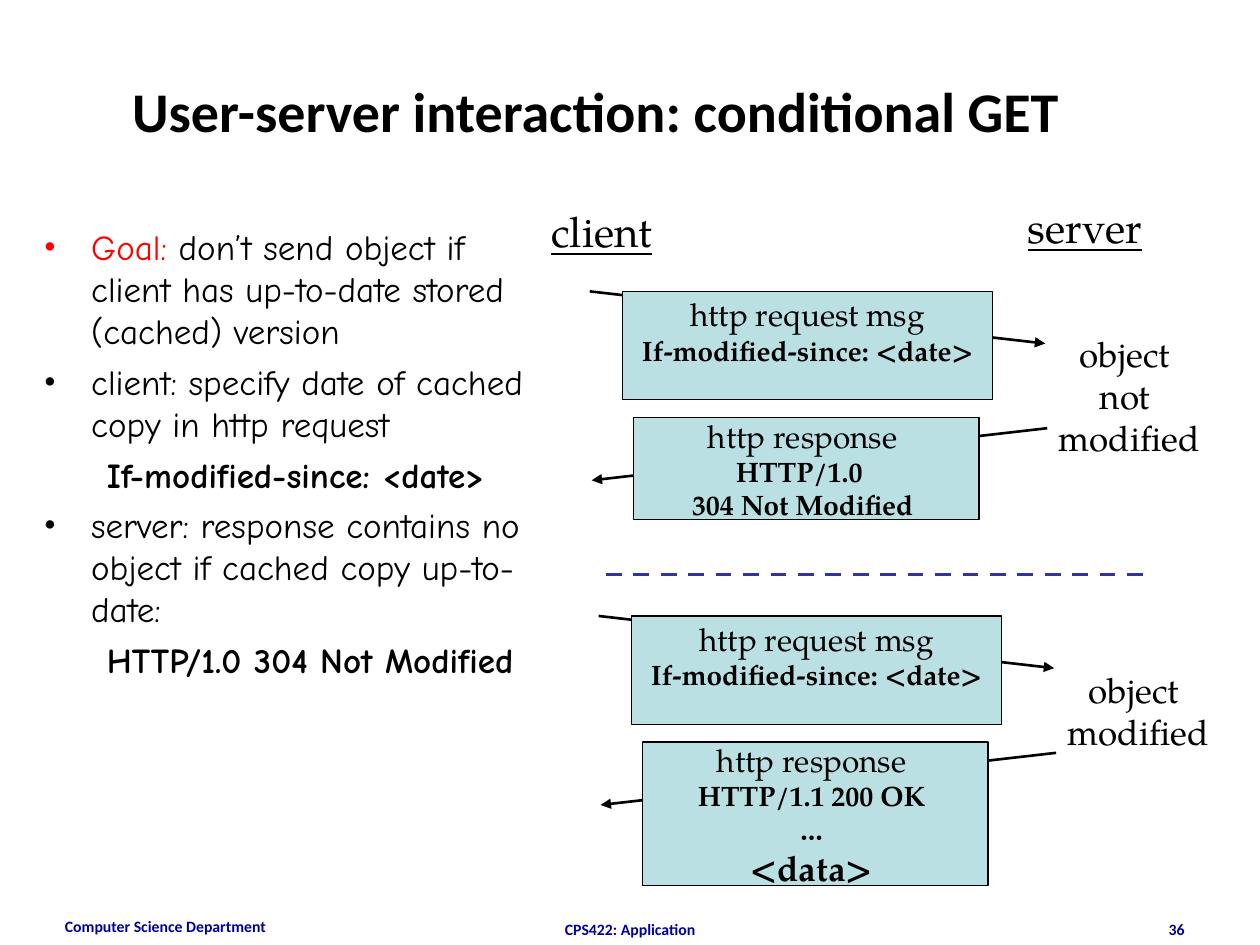
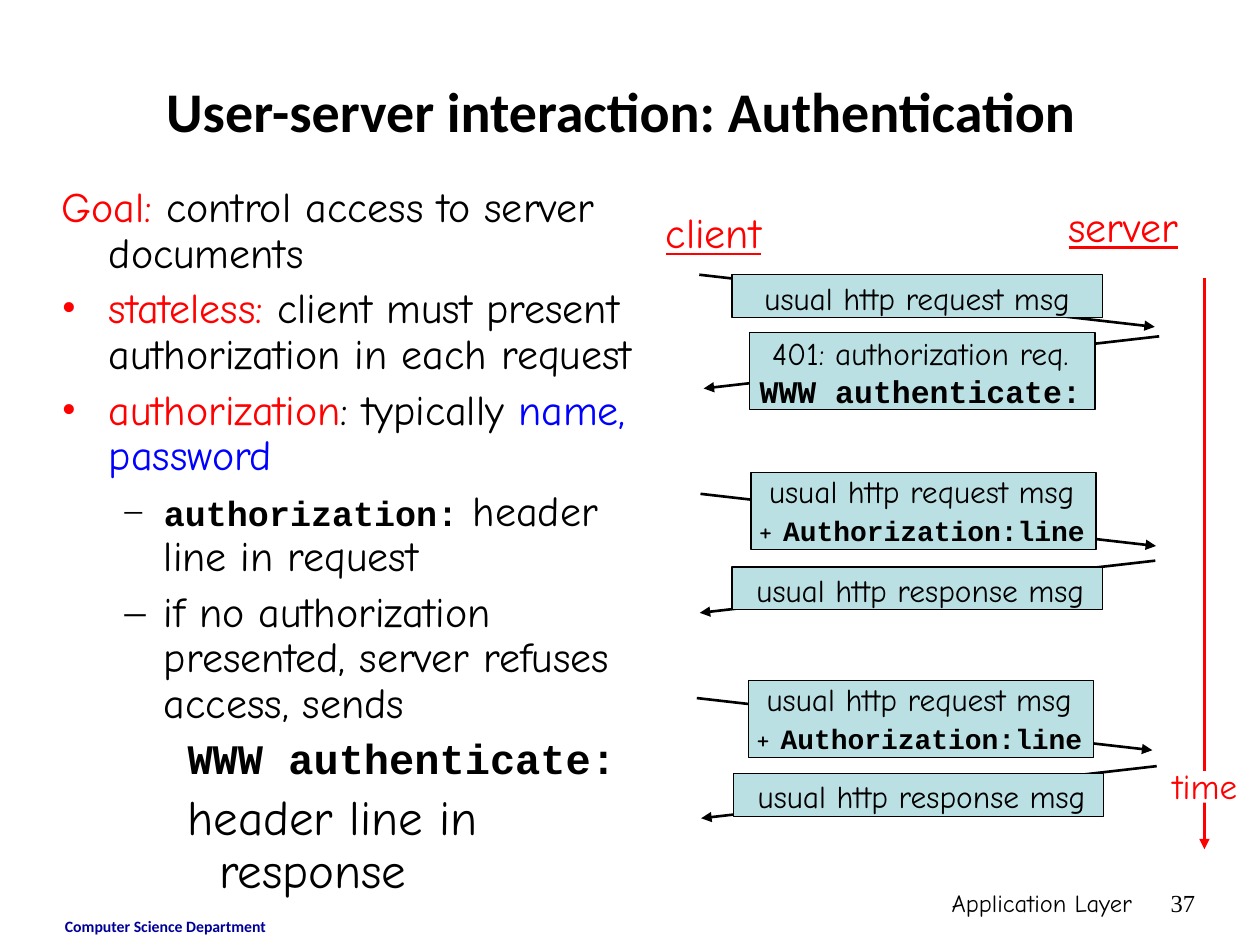
from dataclasses import dataclass

from lxml import etree
from pptx import Presentation
from pptx.dml.color import RGBColor
from pptx.enum.dml import MSO_LINE
from pptx.enum.shapes import MSO_CONNECTOR, MSO_SHAPE
from pptx.enum.text import MSO_ANCHOR, MSO_AUTO_SIZE, PP_ALIGN
from pptx.oxml.ns import qn
from pptx.util import Pt

LEFT, CENTER, RIGHT = PP_ALIGN.LEFT, PP_ALIGN.CENTER, PP_ALIGN.RIGHT
MIDDLE, TOP = MSO_ANCHOR.MIDDLE, MSO_ANCHOR.TOP
GROW, FIXED = MSO_AUTO_SIZE.SHAPE_TO_FIT_TEXT, MSO_AUTO_SIZE.NONE
STRAIGHT, RECTANGLE, DASH = MSO_CONNECTOR.STRAIGHT, MSO_SHAPE.RECTANGLE, MSO_LINE.DASH


@dataclass(frozen=True)
class Theme:
    black: str = "000000"
    white: str = "FFFFFF"
    red: str = "FF0000"
    blue: str = "0000FF"
    footer_blue: str = "000099"
    divider_blue: str = "333399"
    message_fill: str = "BBE0E3"
    sans: str = "Calibri"
    hand: str = "Comic Neue"
    serif: str = "TeX Gyre Pagella"
    mono: str = "Courier New"
    times: str = "Times New Roman"
    title_size: int = 32
    large: int = 28
    heading: int = 24
    body: int = 20
    message: int = 18
    code: int = 16
    page: int = 14
    footer: int = 9
    hairline: float = 0.75
    arrow: float = 1.5
    divider: float = 2.25


THEME = Theme()


def style(name, size, color=THEME.black, **extra):
    return {"name": name, "size": Pt(size), "color": color, **extra}


TITLE = style(THEME.sans, THEME.title_size, bold=True)
FOOTER = style(THEME.sans, THEME.footer, THEME.footer_blue, bold=True)
HAND_BODY = style(THEME.hand, THEME.body)
HAND_BODY_BOLD = HAND_BODY | {"bold": True}
HAND_HEADING = style(THEME.hand, THEME.heading)
HAND_MESSAGE = style(THEME.hand, THEME.message)
SERIF_HEADING = style(THEME.serif, THEME.heading, underline=True)
SERIF_BODY = style(THEME.serif, THEME.body)
SERIF_MESSAGE = style(THEME.serif, THEME.message)
SERIF_CODE = style(THEME.serif, THEME.code, bold=True)
MONO_HEADING = style(THEME.mono, THEME.heading, bold=True)
MONO_BODY = style(THEME.mono, THEME.body, bold=True)
MONO_MESSAGE = style(THEME.mono, THEME.message, bold=True)
MONO_CODE = style(THEME.mono, THEME.code, bold=True)
RED = {"color": THEME.red}
BLUE = {"color": THEME.blue}

# Left margin and hanging indent of each outline level
INDENTS = ((27, -27), (58.5, -22.5), (90, -18))

# Message boxes: width of the box, then left, top and width of its label relative to the box
WIDE = (211.7, (0.3, -1.2, 211))
WIDE_REPLY = (211.7, (-1.4, -1.4, 218))
NARROW = (197.3, (-7.5, -4, 208))
NARROW_REFUSAL = (197.3, (-6.5, -2.8, 208))
NARROW_REQUEST = (197.3, (-7.9, -3.6, 211))
ARROW_RUN, ARROW_DROP = 260.3, 29.8


def rgb(color):
    return RGBColor.from_string(color)


def points(*values):
    return [Pt(value) for value in values]


def add_runs(paragraph, runs):
    for text, formats in runs:
        run = paragraph.add_run()
        run.text = text
        for key, value in formats.items():
            if key == "color":
                run.font.color.rgb = rgb(value)
            else:
                setattr(run.font, key, value)


def add_text(slide, box, paragraphs, align=LEFT, anchor=TOP, wrap=True, size=FIXED):
    """Add a text box; each paragraph is a list of (text, style) runs."""
    frame = slide.shapes.add_textbox(*points(*box)).text_frame
    formats = {"word_wrap": wrap, "auto_size": size, "vertical_anchor": anchor}
    for key, value in formats.items():
        setattr(frame, key, value)
    for index, runs in enumerate(paragraphs):
        paragraph = frame.add_paragraph() if index else frame.paragraphs[0]
        paragraph.alignment = align
        add_runs(paragraph, runs)
    return frame


def set_outline(paragraph, level, bullet, color):
    paragraph.level = level
    properties = paragraph._p.get_or_add_pPr()
    margin, indent = INDENTS[level]
    properties.set("marL", str(int(Pt(margin))))
    properties.set("indent", str(int(Pt(indent))))
    if bullet:
        bullet_color = etree.SubElement(properties, qn("a:buClr"))
        etree.SubElement(bullet_color, qn("a:srgbClr"), val=color)
        etree.SubElement(properties, qn("a:buFont"), typeface=THEME.times)
        etree.SubElement(properties, qn("a:buChar"), char=bullet)


def add_outline(slide, box, items, space, line_spacing=None):
    """Items are (level, bullet, runs); the bullet takes the colour of the first run."""
    frame = add_text(slide, box, [runs for _, _, runs in items])
    for index, (level, bullet, runs) in enumerate(items):
        paragraph = frame.paragraphs[index]
        set_outline(paragraph, level, bullet, runs[0][1]["color"])
        if index:
            paragraph.space_before = Pt(space)
        if line_spacing:
            paragraph.line_spacing = line_spacing


def add_rectangle(slide, box, fill, outline=None):
    shape = slide.shapes.add_shape(RECTANGLE, *points(*box))
    shape.shadow.inherit = False
    shape.fill.solid()
    shape.fill.fore_color.rgb = rgb(fill)
    if outline:
        shape.line.color.rgb = rgb(outline)
        shape.line.width = Pt(THEME.hairline)
    else:
        shape.line.fill.background()


def add_line(slide, start, end, color=THEME.black, width=THEME.arrow, dash=None, arrow=True):
    connector = slide.shapes.add_connector(STRAIGHT, *points(*start, *end))
    connector.line.color.rgb = rgb(color)
    connector.line.width = Pt(width)
    if dash:
        connector.line.dash_style = dash
    if arrow:
        etree.SubElement(connector.line._get_or_add_ln(), qn("a:tailEnd"), type="triangle")
    etree.SubElement(connector._element.spPr, qn("a:effectLst"))


def add_message(slide, corner, kind, height, arrow_start, direction, lines):
    """Draw an arrow (direction 1 to the server, -1 to the client) under a labelled box."""
    left, top = corner
    width, (label_left, label_top, label_width) = kind
    x, y = arrow_start
    add_line(slide, arrow_start, (x + direction * ARROW_RUN, y + ARROW_DROP))
    add_rectangle(slide, (left, top, width, height), THEME.message_fill, THEME.black)
    label = (left + label_left, top + label_top, label_width, height + 6)
    add_text(slide, label, lines, CENTER, size=GROW)


def add_caption(slide, box, lines, formats):
    add_text(slide, box, [[(line, formats)] for line in lines], CENTER, wrap=False, size=GROW)


def add_frame(presentation, title, title_box):
    """Add a blank slide with its title and the department footer."""
    slide = presentation.slides.add_slide(presentation.slide_layouts[6])
    add_text(slide, (30, 520.5, 168, 19.5), [[("Computer Science Department", FOOTER)]])
    add_text(slide, title_box, [[(title, TITLE)]], CENTER, MIDDLE)
    return slide


def add_exchange(slide, left, top, response, response_height, outcome, outcome_top):
    """Draw a conditional request, its response and the state of the object."""
    request = [[("http request msg", SERIF_MESSAGE)],
               [("If-modified-since: <date>", SERIF_CODE)]]
    add_message(slide, (left + 18.7, top), WIDE, 61.9, (left, top), 1, request)
    add_message(slide, (left + 25.2, top + 72), NARROW, response_height,
                (left + 261.4, top + 78.2), -1,
                [[("http response", SERIF_MESSAGE)], *response])
    add_caption(slide, (left + 258.4, top + outcome_top, 100, 26 * len(outcome)),
                outcome, SERIF_BODY)


def build_conditional_get(presentation):
    slide = add_frame(presentation, "User-server interaction: conditional GET",
                      (27, 18, 627, 90))
    add_text(slide, (246, 522, 228, 7.2), [[("CPS422: Application", FOOTER)]], CENTER)
    add_text(slide, (516, 522, 168, 7.2), [[("36", FOOTER)]], RIGHT)
    add_outline(slide, (18, 125.3, 306, 339), [
        (0, "•", [("Goal:", HAND_BODY | RED),
                  (" don’t send object if client has up-to-date stored (cached) version",
                   HAND_BODY)]),
        (0, "•", [("client: specify date of cached copy in http request", HAND_BODY)]),
        (1, None, [("If-modified-since: <date>", HAND_BODY_BOLD)]),
        (0, "•", [("server: response contains no object if cached copy up-to-date:",
                   HAND_BODY)]),
        (1, None, [("HTTP/1.0 304 Not Modified", HAND_BODY_BOLD)]),
    ], space=5)
    add_caption(slide, (303.9, 113.8, 80, 36), ["client"], SERIF_HEADING)
    add_caption(slide, (574.8, 111.6, 90, 36), ["server"], SERIF_HEADING)
    add_exchange(slide, 337, 166.5,
                 [[("HTTP/1.0 ", SERIF_CODE)], [("304 Not Modified", SERIF_CODE)]], 58.3,
                 ["object ", "not ", "modified"], 20.2)
    add_line(slide, (346.3, 328.3), (653.8, 328.3), THEME.divider_blue, THEME.divider,
             DASH, arrow=False)
    add_exchange(slide, 342.1, 352,
                 [[("HTTP/1.1 200 OK", SERIF_CODE)], [("…", SERIF_CODE)],
                  [("<data>", SERIF_BODY | {"bold": True})]], 82.1,
                 ["object ", "modified"], 26.7)


def add_timeline(slide, x, top, bottom):
    add_line(slide, (x, top), (x, bottom), THEME.red)
    label_top = bottom - 44.6
    add_rectangle(slide, (x - 20.9, label_top, 44.6, 18), THEME.white)
    add_caption(slide, (x - 28.7, label_top - 7.2, 58, 31.7), ["time"], HAND_BODY | RED)


def build_authentication(presentation):
    slide = add_frame(presentation, "User-server interaction: Authentication",
                      (41.8, 18, 626.4, 90))
    page = style(THEME.hand, THEME.page)
    add_text(slide, (426, 504, 228, 36), [[("Application Layer", page)]], RIGHT)
    add_text(slide, (654, 504, 36, 36), [[("37", page | {"name": THEME.times})]], RIGHT)
    add_outline(slide, (28.1, 103, 355.7, 422.6), [
        (0, None, [("Goal:", HAND_HEADING | RED),
                   (" control access to server documents", HAND_HEADING)]),
        (0, "•", [("stateless:", HAND_HEADING | RED),
                  (" client must present authorization in each request", HAND_HEADING)]),
        (0, "•", [("authorization", HAND_HEADING | RED), (": typically ", HAND_HEADING),
                  ("name, password", HAND_HEADING | BLUE)]),
        (1, "–", [("authorization:", MONO_BODY), (" header line in request", HAND_HEADING)]),
        (1, "–", [("if no authorization presented, server refuses access, sends",
                   HAND_HEADING)]),
        (2, None, [("WWW authenticate:", MONO_HEADING)]),
        (2, None, [("header line in response", style(THEME.hand, THEME.large))]),
    ], space=6, line_spacing=0.9)
    heading = HAND_HEADING | RED | {"underline": True}
    add_caption(slide, (362.7, 114.5, 90, 36), ["client"], heading)
    add_caption(slide, (596.9, 110.9, 90, 36), ["server"], heading)

    request = [("usual http request msg", HAND_MESSAGE)]
    refusal = [[("401: authorization req.", HAND_MESSAGE)],
               [("WWW authenticate:", MONO_MESSAGE)]]
    authorized = [request, [("+ ", HAND_MESSAGE), ("Authorization:line", MONO_CODE)]]
    response = [[("usual http response msg", HAND_MESSAGE)]]
    one_line, two_lines = 24.5, 43.9
    messages = [
        ((418.3, 157), WIDE, one_line, (399.6, 157), 1, [request]),
        ((428.4, 190), NARROW_REFUSAL, two_lines, (662.4, 192.2), -1, refusal),
        ((429.1, 270), NARROW_REQUEST, two_lines, (400.3, 282.2), 1, authorized),
        ((418.3, 324), WIDE_REPLY, one_line, (660.2, 320.4), -1, response),
        ((427.7, 388.8), NARROW_REQUEST, two_lines, (398.2, 398.9), 1, authorized),
        ((419, 442.1), WIDE_REPLY, one_line, (661, 437.8), -1, response),
    ]
    for message in messages:
        add_message(slide, *message)
    add_timeline(slide, 688.3, 159.1, 485.3)


def main():
    presentation = Presentation()
    presentation.slide_width, presentation.slide_height = points(720, 540)
    build_conditional_get(presentation)
    build_authentication(presentation)
    presentation.save("out.pptx")


if __name__ == "__main__":
    main()
